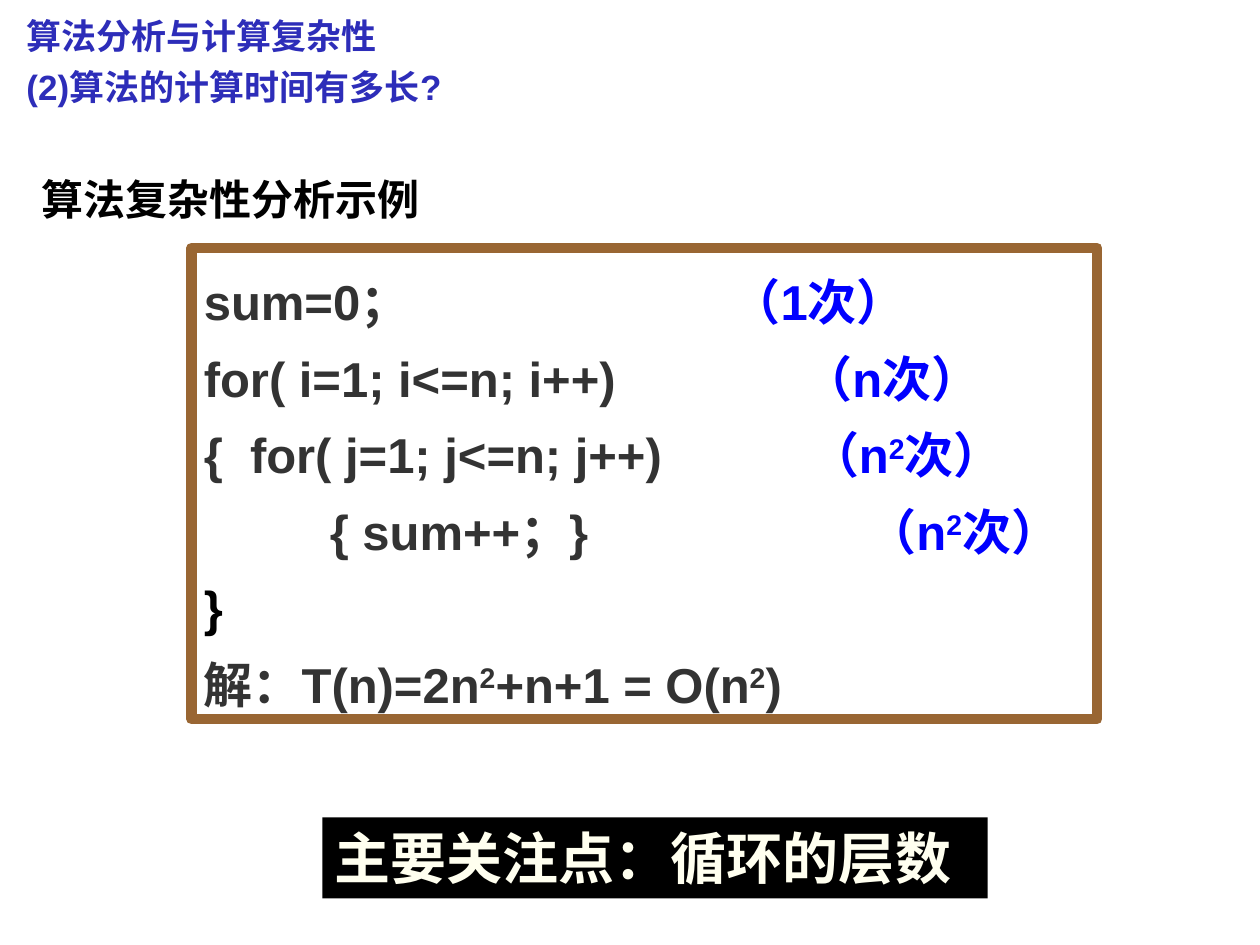
from lxml import etree
from pptx import Presentation
from pptx import util as u
from pptx.dml.color import RGBColor
from pptx.enum import shapes, text
from pptx.oxml.ns import qn

NAVY = RGBColor(0x2D, 0x2D, 0xB9)
BLACK = RGBColor(0, 0, 0)
GREY = RGBColor(0x33, 0x33, 0x33)
BLUE = RGBColor(0, 0, 0xFF)
BROWN = RGBColor(0x99, 0x66, 0x33)
IVORY = RGBColor(0xFF, 0xFF, 0xEF)
FONT = "Arial"

INDENT = 2.54
N_SQUARED = [("（n", BLUE), ("2", BLUE, True), ("次）", BLUE)]
CODE_LINES = [
    ([10.64], [("sum=0；\t", GREY), ("（1次）", BLUE)]),
    ([12.09], [("for( i=1; i<=n; i++)\t", GREY), ("（n次）", BLUE)]),
    ([12.22], [("{  for( j=1; j<=n; j++)\t", GREY)] + N_SQUARED),
    ([INDENT, 13.38], [("\t{ sum++；}\t", GREY)] + N_SQUARED),
    ([], [("}", BLACK)]),
    ([], [("解：T(n)=2n", GREY), ("2", GREY, True), ("+n+1 = O(n", GREY),
          ("2", GREY, True), (")", GREY)]),
]


def place(sp, box):
    sp.left, sp.top, sp.width, sp.height = (u.Cm(v) for v in box)


def prepare_frame(sp, wrap=True):
    tf = sp.text_frame
    tf.word_wrap = wrap
    tf.auto_size = text.MSO_AUTO_SIZE.NONE
    tf.vertical_anchor = text.MSO_ANCHOR.TOP
    return tf


def add_run(p, words, size, color, raised=False):
    r = p.add_run()
    r.text = words
    r.font.name = FONT
    r.font.size = u.Pt(size)
    r.font.bold = True
    r.font.color.rgb = color
    if raised:
        r._r.get_or_add_rPr().set("baseline", "30000")


def fill_frame(tf, lines, size, spacing=1.0):
    for i, (stops, runs) in enumerate(lines):
        p = tf.paragraphs[0] if i == 0 else tf.add_paragraph()
        p.alignment = text.PP_ALIGN.LEFT
        p.line_spacing = spacing
        if stops:
            tabs = etree.SubElement(p._p.get_or_add_pPr(), qn("a:tabLst"))
            for stop in stops:
                etree.SubElement(tabs, qn("a:tab"), pos=str(u.Cm(stop)), algn="l")
        for run in runs:
            add_run(p, run[0], size, *run[1:])


def add_rect(s, box):
    sp = s.shapes.add_shape(shapes.MSO_SHAPE.RECTANGLE, *(u.Cm(v) for v in box))
    sp.shadow.inherit = False
    return sp


def title_region(s, box):
    sp = s.shapes.title
    place(sp, box)
    lines = [([], [("算法分析与计算复杂性", NAVY)]),
             ([], [("(2)算法的计算时间有多长?", NAVY)])]
    fill_frame(prepare_frame(sp, wrap=False), lines, 20, 1.2)


def heading_region(s, box):
    sp = s.shapes.add_textbox(*(u.Cm(v) for v in box))
    fill_frame(prepare_frame(sp), [([], [("算法复杂性分析示例", BLACK)])], 24)


def code_region(s, box):
    sp = add_rect(s, box)
    sp.fill.background()
    sp.line.color.rgb = BROWN
    sp.line.width = u.Pt(6)
    fill_frame(prepare_frame(sp), CODE_LINES, 28, 1.3)


def focus_region(s, box):
    sp = add_rect(s, box)
    sp.fill.solid()
    sp.fill.fore_color.rgb = BLACK
    sp.line.fill.background()
    fill_frame(prepare_frame(sp), [([], [("主要关注点：循环的层数", IVORY)])], 32)


def main():
    prs = Presentation()
    prs.slide_width, prs.slide_height = u.Cm(25.4), u.Cm(19.05)
    s = prs.slides.add_slide(prs.slide_layouts[5])
    title_region(s, (0.28, 0, 9.6, 2.29))
    heading_region(s, (0.58, 3.38, 8.94, 1.27))
    code_region(s, (3.86, 5, 18.26, 9.5))
    focus_region(s, (6.5, 16.48, 13.41, 1.63))
    prs.save("out.pptx")


if __name__ == "__main__":
    main()
